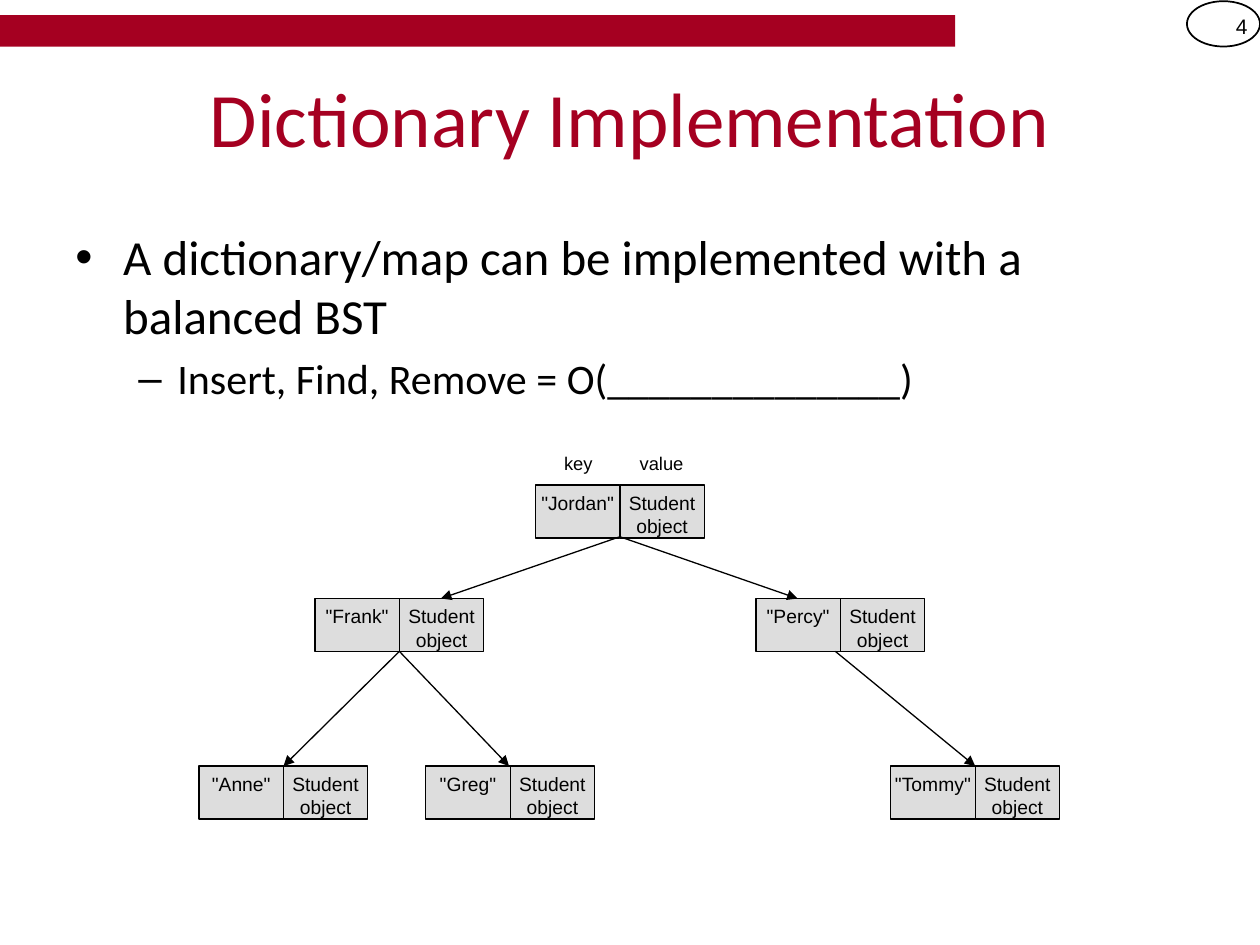
from lxml.etree import SubElement
from pptx import Presentation
from pptx.dml.color import RGBColor
from pptx.enum.shapes import MSO_CONNECTOR, MSO_SHAPE as SHAPE
from pptx.enum.text import MSO_ANCHOR as ANCHOR, PP_ALIGN as ALIGN
from pptx.oxml.ns import qn
from pptx.util import Inches, Pt

CRIMSON = RGBColor(0xA5, 0x00, 0x21)
BLACK = RGBColor(0, 0, 0)
GREY = RGBColor(0xDD, 0xDD, 0xDD)
CELL_W, CELL_H = 0.67, 0.42

# Key, left and top of each tree node
NODES = [
    ('"Jordan"', 4.25, 3.85),
    ('"Frank"', 2.5, 4.75),
    ('"Percy"', 6, 4.75),
    ('"Anne"', 1.58, 6.08),
    ('"Greg"', 3.38, 6.08),
    ('"Tommy"', 7.07, 6.08),
]
# Start and end of each branch
BRANCHES = [
    ((4.92, 4.26), (3.5, 4.75)),
    ((4.92, 4.26), (6.33, 4.75)),
    ((3.17, 5.17), (2.25, 6.08)),
    ((3.17, 5.17), (4.04, 6.08)),
    ((6.63, 5.17), (7.74, 6.08)),
]
# Text, size, left margin, hanging indent, bullet
POINTS = [
    ("A dictionary/map can be implemented with a balanced BST", 28, 0.38, 0.38, "\u2022"),
    ("Insert, Find, Remove = O(______________)", 24, 0.81, 0.31, "\u2013"),
]


def format_text(para, size, font="Arial", color=BLACK, align=ALIGN.CENTER):
    para.alignment = align
    for span in para.runs:
        span.font.size = Pt(size)
        span.font.name = font
        span.font.color.rgb = color


def add_text(page, text, left, top, width, height, size, inset=0.1, **style):
    box = page.shapes.add_textbox(Inches(left), Inches(top), Inches(width), Inches(height))
    frame = box.text_frame
    frame.word_wrap = True
    frame.vertical_anchor = ANCHOR.MIDDLE
    frame.margin_left = frame.margin_right = Inches(inset)
    frame.text = text
    format_text(frame.paragraphs[0], size, **style)


def add_block(page, kind, left, top, width, height, fill=None, line=None):
    block = page.shapes.add_shape(kind, Inches(left), Inches(top), Inches(width), Inches(height))
    block.shadow.inherit = False
    if fill is None:
        block.fill.background()
    else:
        block.fill.solid()
        block.fill.fore_color.rgb = fill
    if line is None:
        block.line.fill.background()
    else:
        block.line.color.rgb = BLACK
        block.line.width = Pt(line)
    return block


def add_node(page, key, left, top):
    for column, text in enumerate((key, "Student\vobject")):
        cell = add_block(page, SHAPE.RECTANGLE, left + column * CELL_W, top,
                         CELL_W, CELL_H, GREY, 0.75)
        frame = cell.text_frame
        frame.word_wrap = False
        frame.vertical_anchor = ANCHOR.TOP
        frame.text = text
        format_text(frame.paragraphs[0], 11)


def add_arrow(page, start, end):
    arrow = page.shapes.add_connector(MSO_CONNECTOR.STRAIGHT, *map(Inches, start + end))
    arrow.line.color.rgb = BLACK
    arrow.line.width = Pt(0.75)
    SubElement(arrow.line._get_or_add_ln(), qn("a:tailEnd"), type="triangle")
    SubElement(arrow._element.spPr, qn("a:effectLst"))


def add_points(page):
    box = page.shapes.add_textbox(Inches(0.5), Inches(1.75), Inches(9), Inches(4.95))
    frame = box.text_frame
    frame.word_wrap = True
    for level, (text, size, margin, hang, bullet) in enumerate(POINTS):
        para = frame.add_paragraph() if level else frame.paragraphs[0]
        para.text = text
        para.level = level
        para.space_before = Pt(size * 0.2)
        format_text(para, size, font="Calibri", align=ALIGN.LEFT)
        props = para._p.get_or_add_pPr()
        props.set("marL", str(Inches(margin)))
        props.set("indent", str(-Inches(hang)))
        SubElement(props, qn("a:buFont"), typeface="Arial")
        SubElement(props, qn("a:buChar"), char=bullet)


def main():
    deck = Presentation()
    deck.slide_width, deck.slide_height = Inches(10), Inches(7.5)
    page = deck.slides.add_slide(deck.slide_layouts[6])

    # Header band and page number
    add_text(page, "4", 9.42, 0.01, 0.58, 0.4, 12, align=ALIGN.RIGHT)
    add_block(page, SHAPE.RECTANGLE, 0, 0.12, 7.58, 0.25, fill=CRIMSON)
    add_block(page, SHAPE.OVAL, 9.42, 0.01, 0.58, 0.36, line=1)

    # Title and points
    add_text(page, "Dictionary Implementation", 0.5, 0.3, 9, 1.25, 44,
             font="Calibri", color=CRIMSON)
    add_points(page)

    # Search tree
    for node in NODES:
        add_node(page, *node)
    for label, left in (("key", 4.38), ("value", 5.04)):
        add_text(page, label, left, 3.51, 0.42, 0.33, 10.5, inset=0)
    for start, end in BRANCHES:
        add_arrow(page, start, end)

    deck.save("out.pptx")


main()
